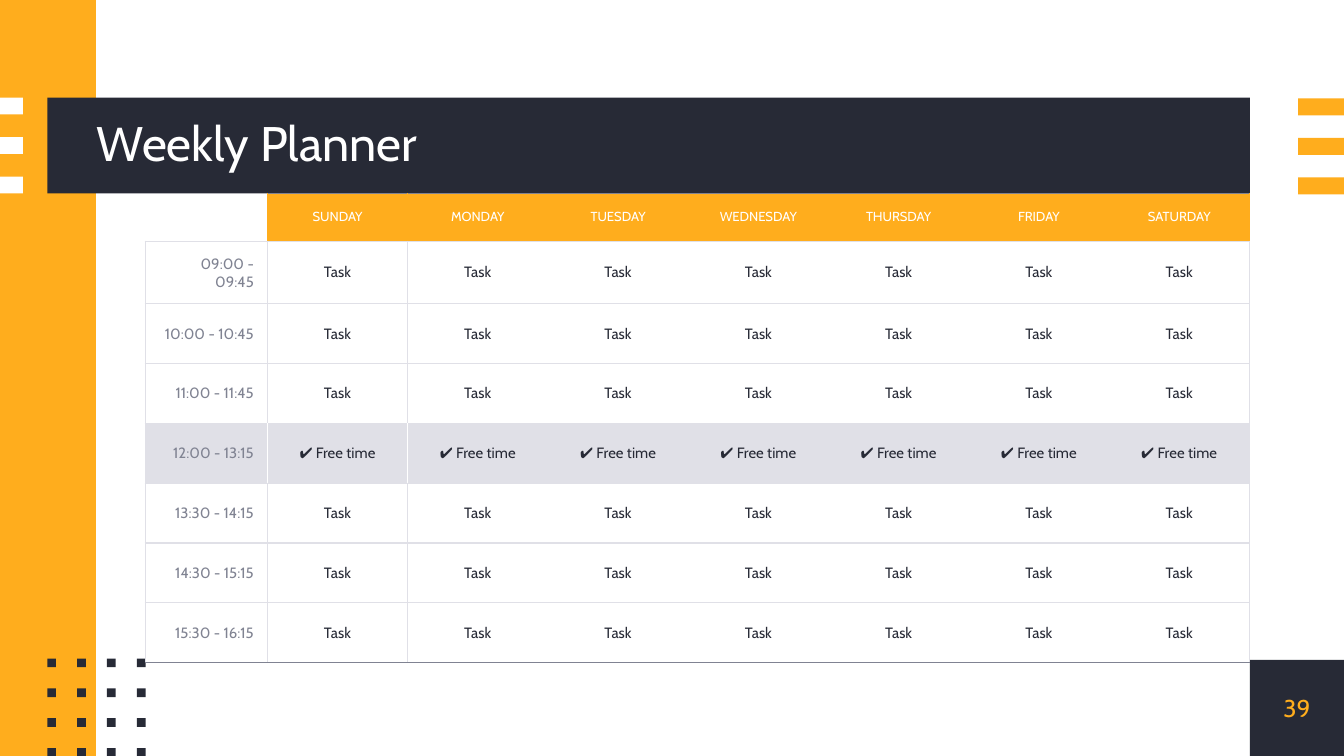
from lxml import etree
from pptx import Presentation
from pptx.dml.color import RGBColor
from pptx.enum.shapes import MSO_SHAPE
from pptx.enum.text import MSO_ANCHOR, PP_ALIGN
from pptx.oxml.ns import qn
from pptx.util import Inches, Pt

RECTANGLE = MSO_SHAPE.RECTANGLE
MIDDLE = MSO_ANCHOR.MIDDLE
LEFT, CENTER, RIGHT = PP_ALIGN.LEFT, PP_ALIGN.CENTER, PP_ALIGN.RIGHT
FONT = "Cabin"
NO_STYLE = "{2D5ABB26-0587-4C30-8999-92F81FD0307C}"
COLORS = {
    "white": "FFFFFF",
    "navy": "272A36",
    "orange": "FFAD1D",
    "gray": "808392",
    "pale": "E0E0E7",
}

deck = Presentation()
deck.slide_width = Inches(10)
deck.slide_height = Inches(5.625)
slide = deck.slides.add_slide(deck.slide_layouts[6])
share = deck.slide_width / 100


def block(left, top, width, height, color):
    box = [round(share * part) for part in (left, top, width, height)]
    rect = slide.shapes.add_shape(RECTANGLE, *box)
    rect.shadow.inherit = False
    rect.fill.solid()
    rect.fill.fore_color.rgb = RGBColor.from_string(COLORS[color])
    rect.line.fill.background()


def write(frame, text, size, color, align):
    paragraph = frame.paragraphs[0]
    paragraph.alignment = align
    run = paragraph.add_run()
    run.text = text
    styling = {"name": FONT, "size": Pt(size)}
    for key, value in styling.items():
        setattr(run.font, key, value)
    run.font.color.rgb = RGBColor.from_string(COLORS[color])
    return paragraph


block(93, 49.1, 7, 7.15, "navy")
block(0, 0, 7.14, 56.25, "orange")
block(3.52, 7.26, 89.48, 7.14, "navy")
for stripe in range(3):
    block(0, 7.26 + 2.94 * stripe, 1.7, 1.26, "white")
    block(96.6, 7.33 + 2.94 * stripe, 3.4, 1.26, "orange")
for dot_row in range(4):
    for dot_column in range(4):
        block(3.52 + 2.22 * dot_column, 49 + 2.22 * dot_row, 0.65, 0.65, "navy")

captions = [
    ("Weekly Planner", (7.2, 7.26, 85.8, 7.14), 26, "white", LEFT, 0.9),
    ("39", (93, 49.1, 7, 7.15), 13, "orange", CENTER, 1),
]
for text, place, size, color, align, spacing in captions:
    caption = slide.shapes.add_textbox(*[round(share * part) for part in place])
    frame = caption.text_frame
    layout = {
        "word_wrap": True,
        "vertical_anchor": MIDDLE,
        "margin_left": 0,
        "margin_right": 0,
        "margin_top": 0,
        "margin_bottom": 0,
    }
    for key, value in layout.items():
        setattr(frame, key, value)
    write(frame, text, size, color, align).line_spacing = spacing

days = ["SUNDAY", "MONDAY", "TUESDAY", "WEDNESDAY", "THURSDAY", "FRIDAY", "SATURDAY"]
hours = [
    "09:00 - 09:45",
    "10:00 - 10:45",
    "11:00 - 11:45",
    "12:00 - 13:15",
    "13:30 - 14:15",
    "14:30 - 15:15",
    "15:30 - 16:15",
]
last_row, last_column = len(hours), len(days)
free_row = hours.index("12:00 - 13:15") + 1
planner_place = [round(share * part) for part in (10.8, 14.4, 82.2, 34.7)]
planner = slide.shapes.add_table(last_row + 1, last_column + 1, *planner_place).table
planner.first_row = False
planner.horz_banding = False
planner._tbl.tblPr.find(qn("a:tableStyleId")).text = NO_STYLE
for index, column in enumerate(planner.columns):
    column.width = round(share * (10.44 if index else 9.1))
for index, row in enumerate(planner.rows):
    row.height = round(share * (4.45 if index else 3.54))

for r in range(last_row + 1):
    for c in range(last_column + 1):
        cell = planner.cell(r, c)
        cell.vertical_anchor = MIDDLE
        for side in ("left", "right", "top", "bottom"):
            setattr(cell, f"margin_{side}", Inches(0.1))

        borders = {"T": "pale", "B": "gray" if r == last_row else "pale"}
        if r == 0:
            fill = "orange" if c else None
            borders["T"] = "gray" if c else None
            borders["R"] = "orange" if c in (0, last_column) else None
            borders["L"] = "orange" if c == 1 else None
        else:
            fill = "pale" if r == free_row else None
            divider = "white" if r == free_row else "pale"
            borders["L"] = {0: "pale", 1: divider}.get(c)
            borders["R"] = {0: divider, last_column: "pale"}.get(c)

        properties = cell._tc.get_or_add_tcPr()
        for side in "LRTB":
            if borders[side]:
                edge = etree.SubElement(properties, qn(f"a:ln{side}"), w=str(Pt(0.75)))
                paint = etree.SubElement(edge, qn("a:solidFill"))
                etree.SubElement(paint, qn("a:srgbClr"), val=COLORS[borders[side]])
        if fill:
            cell.fill.solid()
            cell.fill.fore_color.rgb = RGBColor.from_string(COLORS[fill])
        else:
            cell.fill.background()

        if r == 0 and c == 0:
            corner = cell.text_frame.paragraphs[0]._p
            etree.SubElement(corner, qn("a:endParaRPr"), sz="700")
        elif r == 0:
            write(cell.text_frame, days[c - 1], 7, "white", CENTER)
        elif c == 0:
            write(cell.text_frame, hours[r - 1], 8, "gray", RIGHT)
        else:
            activity = "✔ Free time" if r == free_row else "Task"
            write(cell.text_frame, activity, 8, "navy", CENTER)

deck.save("out.pptx")
